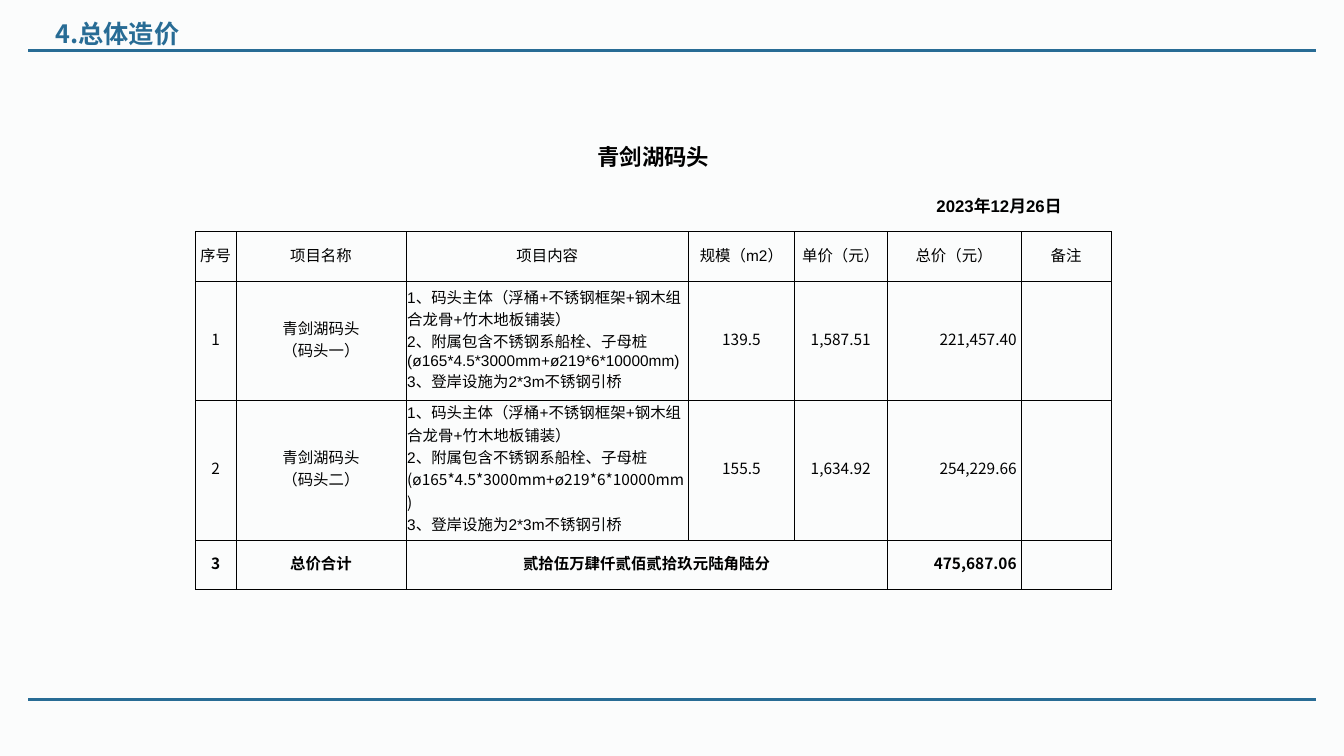
from dataclasses import dataclass

from lxml.etree import SubElement
from pptx import Presentation
from pptx.dml.color import RGBColor
from pptx.enum.text import MSO_ANCHOR, MSO_AUTO_SIZE, PP_ALIGN
from pptx.oxml.ns import qn
from pptx.util import Inches, Pt


@dataclass(frozen=True)
class Theme:
    background: str = "FBFCFC"
    accent: str = "286C95"
    ink: str = "000000"
    text_font: str = "Arial"
    cjk_font: str = "Noto Sans CJK SC"
    title_size: float = 18
    caption_size: float = 16
    date_size: float = 12
    body_size: float = 11
    rule_width: float = 1.75
    border_width: float = 0.5


class Page:
    def __init__(self, deck, theme):
        self.theme = theme
        self.width, self.height = deck.slide_width, deck.slide_height
        self.slide = deck.slides.add_slide(deck.slide_layouts[5])
        fill = self.slide.background.fill
        fill.solid()
        fill.fore_color.rgb = RGBColor.from_string(theme.background)

    def across(self, percent):
        return round(self.width * percent / 100)

    def down(self, percent):
        return round(self.height * percent / 100)

    def style(self, para, name, size, color, bold, align):
        para.alignment = align
        font = para.font
        font.name, font.size, font.bold = name, Pt(size), bold
        font.color.rgb = RGBColor.from_string(color)
        defaults = para._p.get_or_add_pPr().find(qn("a:defRPr"))
        SubElement(defaults, qn("a:ea"), typeface=self.theme.cjk_font)

    def rule(self, left, right, y):
        line = self.slide.shapes.add_connector(
            1, self.across(left), self.down(y), self.across(right), self.down(y))
        line.line.color.rgb = RGBColor.from_string(self.theme.accent)
        line.line.width = Pt(self.theme.rule_width)
        SubElement(line._element.spPr, qn("a:effectLst"))

    def title(self, text, left, top, width, height):
        box = self.slide.shapes.title
        box.left, box.top = self.across(left), self.down(top)
        box.width, box.height = self.across(width), self.down(height)
        frame = box.text_frame
        frame.text = text
        frame.word_wrap = True
        frame.auto_size = MSO_AUTO_SIZE.NONE
        frame.vertical_anchor = MSO_ANCHOR.MIDDLE
        para = frame.paragraphs[0]
        para.line_spacing = 0.9
        self.style(para, self.theme.cjk_font, self.theme.title_size,
                   self.theme.accent, True, PP_ALIGN.LEFT)

    def table(self, left, top, columns, rows):
        table = self.slide.shapes.add_table(
            len(rows), len(columns), self.across(left), self.down(top),
            self.across(sum(columns)), self.down(sum(rows))).table
        table.first_row = table.horz_banding = False
        table._tbl.tblPr.find(qn("a:tableStyleId")).text = NO_GRID_STYLE
        for column, width in zip(table.columns, columns):
            column.width = self.across(width)
        for row, height in zip(table.rows, rows):
            row.height = self.down(height)
        for cell in table.iter_cells():
            cell.fill.background()
            cell.vertical_anchor = MSO_ANCHOR.MIDDLE
            cell.margin_left = cell.margin_right = cell.margin_top = Inches(0.01)
            cell.margin_bottom = Inches(0.05)
        return table

    def border(self, cell, edges):
        properties = cell._tc.get_or_add_tcPr()
        for index, edge in enumerate(edges):
            line = SubElement(properties, qn(f"a:ln{edge}"),
                              w=str(Pt(self.theme.border_width)))
            fill = SubElement(line, qn("a:solidFill"))
            SubElement(fill, qn("a:srgbClr"), val=self.theme.ink)
            properties.insert(index, line)

    def cell_text(self, cell, text, size, bold=False, align=PP_ALIGN.CENTER):
        cell.text = text
        for para in cell.text_frame.paragraphs:
            has_chinese = any(char >= "一" for char in para.text)
            name = self.theme.text_font if has_chinese else self.theme.cjk_font
            self.style(para, name, size, self.theme.ink, bold, align)


NO_GRID_STYLE = "{2D5ABB26-0587-4C30-8999-92F81FD0307C}"
COLUMNS = [3, 12.68, 21, 7.88, 6.9, 9.98, 6.68]
ROWS = [6.53, 6.53, 6.53, 15.73, 14.8, 6.53]
CONTENT, DATE, TOTAL = 2, 5, 5
HEADER, SUMMARY = 2, 5

MAIN_BODY = "1、码头主体（浮桶+不锈钢框架+钢木组合龙骨+竹木地板铺装）"
FITTINGS = "2、附属包含不锈钢系船栓、子母桩"
PILES = "(ø165*4.5*3000mm+ø219*6*10000mm)"
BRIDGE = "3、登岸设施为2*3m不锈钢引桥"

COSTS = [
    ["序号", "项目名称", "项目内容", "规模（m2）", "单价（元）", "总价（元）", "备注"],
    ["1", "青剑湖码头\n（码头一）", f"{MAIN_BODY}\n{FITTINGS}{PILES}\n{BRIDGE}",
     "139.5", " 1,587.51 ", " 221,457.40 ", ""],
    ["2", "青剑湖码头\n（码头二）", f"{MAIN_BODY}\n{FITTINGS}\n{PILES}\n{BRIDGE}",
     "155.5", " 1,634.92 ", " 254,229.66 ", ""],
    ["3", "总价合计", "贰拾伍万肆仟贰佰贰拾玖元陆角陆分", "", "", "475,687.06 ", ""],
]


def cost_align(row, column):
    if row > HEADER and column == TOTAL:
        return PP_ALIGN.RIGHT
    if HEADER < row < SUMMARY and column == CONTENT:
        return PP_ALIGN.LEFT
    return PP_ALIGN.CENTER


def main():
    deck = Presentation()
    deck.slide_width, deck.slide_height = Inches(13.33), Inches(7.5)
    theme = Theme()
    page = Page(deck, theme)
    for y in (6.67, 92.53):
        page.rule(2.1, 97.9, y)
    page.title("4.总体造价", 3.38, 2.67, 20.1, 4)

    table = page.table(14.55, 17.6, COLUMNS, ROWS)
    table.cell(0, 0).merge(table.cell(0, len(COLUMNS) - 1))
    table.cell(1, DATE).merge(table.cell(1, DATE + 1))
    table.cell(SUMMARY, CONTENT).merge(table.cell(SUMMARY, TOTAL - 1))
    page.cell_text(table.cell(0, 0), "青剑湖码头", theme.caption_size, True)
    page.cell_text(table.cell(1, DATE), "2023年12月26日", theme.date_size, True)
    for column in range(len(COLUMNS)):
        page.border(table.cell(1, column), "B")
    for row, texts in enumerate(COSTS, HEADER):
        for column, text in enumerate(texts):
            cell = table.cell(row, column)
            page.border(cell, "LRTB")
            if text:
                page.cell_text(cell, text, theme.body_size, row == SUMMARY,
                               cost_align(row, column))
    deck.save("out.pptx")


if __name__ == "__main__":
    main()
